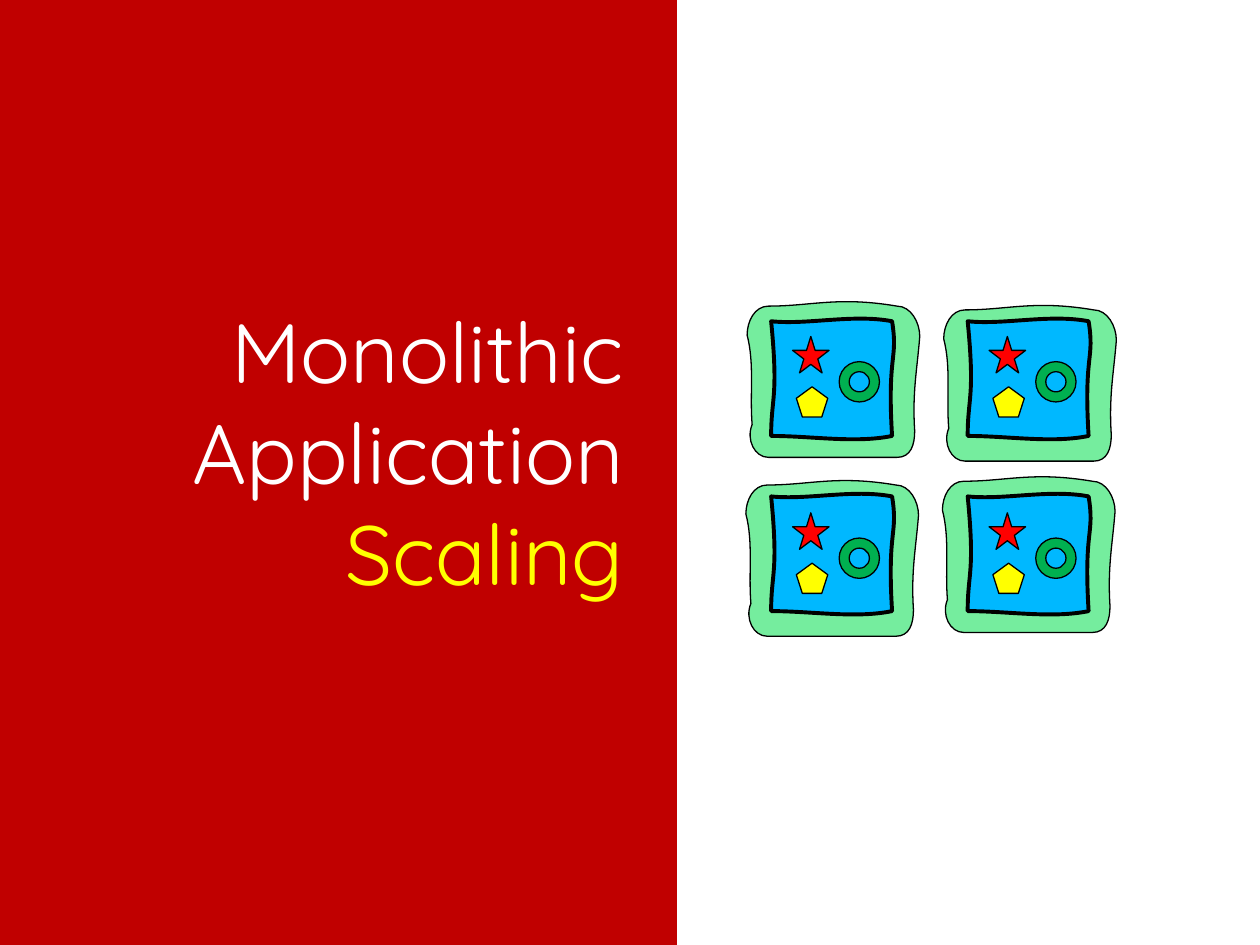
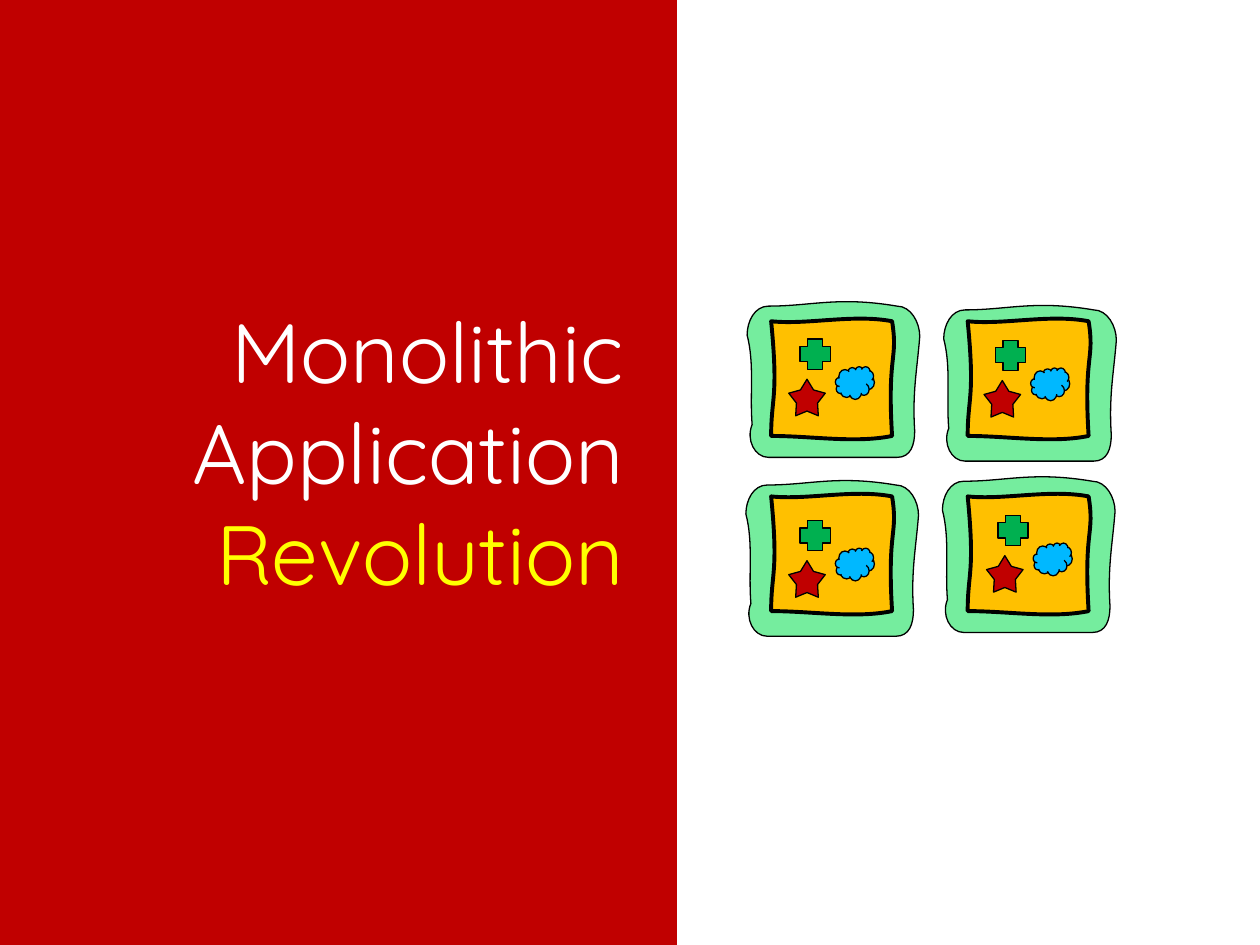
from lxml import etree
from pptx import Presentation
from pptx.dml.color import RGBColor
from pptx.enum.shapes import MSO_SHAPE
from pptx.enum.text import MSO_AUTO_SIZE, PP_ALIGN
from pptx.oxml.ns import qn
from pptx.util import Inches, Pt

RECTANGLE = MSO_SHAPE.RECTANGLE
STAR = MSO_SHAPE.STAR_5_POINT
DONUT = MSO_SHAPE.DONUT
PENTAGON = MSO_SHAPE.REGULAR_PENTAGON
CLOUD = MSO_SHAPE.CLOUD
CROSS = MSO_SHAPE.CROSS
RIGHT = PP_ALIGN.RIGHT
GROW = MSO_AUTO_SIZE.SHAPE_TO_FIT_TEXT

WHITE = RGBColor(0xFF, 0xFF, 0xFF)
BLACK = RGBColor(0x00, 0x00, 0x00)
DARK_RED = RGBColor(0xC0, 0x00, 0x00)
RED = RGBColor(0xFF, 0x00, 0x00)
YELLOW = RGBColor(0xFF, 0xFF, 0x00)
GREEN = RGBColor(0x00, 0xB0, 0x50)
MINT = RGBColor(0x75, 0xED, 0x9E)
SKY = RGBColor(0x00, 0xB8, 0xFF)
AMBER = RGBColor(0xFF, 0xC0, 0x00)

FONT = "Quicksand"
THIN, THICK = 0.75, 2.25

SERVER_SIZE = (1.37, 1.24)
SERVER_OUTLINE = [
    ("moveTo", (0, 0.27)),
    ("cubicBezTo", (0, 0.16), (0.06, 0.04), (0.17, 0.04)),
    ("cubicBezTo", (0.51, 0.04), (0.72, -0.04), (1.19, 0.04)),
    ("cubicBezTo", (1.3, 0.04), (1.37, 0.17), (1.37, 0.28)),
    ("cubicBezTo", (1.35, 0.54), (1.31, 0.72), (1.33, 1.03)),
    ("cubicBezTo", (1.33, 1.14), (1.3, 1.24), (1.19, 1.24)),
    ("lnTo", (0.17, 1.24)),
    ("cubicBezTo", (0.06, 1.24), (-0.01, 1.1), (0.04, 0.98)),
    ("cubicBezTo", (0.02, 0.74), (0.06, 0.5), (0, 0.27)),
    ("close",),
]
APP_SIZE = (0.98, 0.95)
APP_OUTLINE = [
    ("moveTo", (0, 0.02)),
    ("cubicBezTo", (0.29, 0.05), (0.65, -0.04), (0.96, 0.02)),
    ("cubicBezTo", (1.01, 0.33), (0.92, 0.27), (0.96, 0.93)),
    ("cubicBezTo", (0.67, 0.99), (0.32, 0.93), (0, 0.93)),
    ("cubicBezTo", (0, 0.62), (0.06, 0.63), (0, 0.02)),
    ("close",),
]


def grid(left, top, column_pitch, row_pitch):
    """Return the origins of a two by two grid, row by row."""
    return [(left + column_pitch * col, top + row_pitch * row)
            for row in range(2) for col in range(2)]


SERVER_ORIGINS = [(5.93, 2.39), (7.49, 2.42), (5.92, 3.81), (7.48, 3.78)]
APP_ORIGINS = grid(6.12, 2.53, 1.56, 1.39)
SCALED_MODULE_ORIGINS = grid(6.29, 2.67, 1.56, 1.4)
REVISED_MODULE_ORIGINS = [(6.26, 2.69), (7.81, 2.7), (6.26, 4.13), (7.83, 4.09)]

SCALED_MODULES = [
    (STAR, 0, 0, 0.29, 0.29, RED, None),
    (DONUT, 0.37, 0.2, 0.32, 0.32, GREEN, None),
    (PENTAGON, 0.03, 0.4, 0.25, 0.24, YELLOW, None),
]
REVISED_MODULES = [
    (STAR, 0, 0.32, 0.29, 0.29, DARK_RED, 0.289),
    (CLOUD, 0.37, 0.22, 0.31, 0.26, SKY, None),
    (CROSS, 0.09, 0, 0.24, 0.24, GREEN, None),
]


def style(shape, fill, line=BLACK, width=THIN):
    """Give a shape a flat fill and outline without shadow."""
    shape.shadow.inherit = False
    shape.fill.solid()
    shape.fill.fore_color.rgb = fill
    shape.line.color.rgb = line
    shape.line.width = Pt(width)


def add_preset(shapes, preset, x, y, width, height, fill, line=BLACK, adjustment=None):
    """Add a styled preset shape."""
    shape = shapes.add_shape(preset, Inches(x), Inches(y), Inches(width), Inches(height))
    style(shape, fill, line)
    if adjustment is not None:
        shape.adjustments[0] = adjustment


def add_wavy_box(shapes, origin, size, outline, fill, width):
    """Add a closed outline of cubic curves inside a box."""
    left, top = (Inches(value) for value in origin)
    right, bottom = (Inches(start + extent) for start, extent in zip(origin, size))
    builder = shapes.build_freeform(left, top, scale=1.0)
    builder.add_line_segments([(right, top), (right, bottom), (left, bottom)], close=True)
    box = builder.convert_to_shape()
    contour = next(box.element.iter(qn("a:path")))
    for segment in list(contour):
        contour.remove(segment)
    for command, *points in outline:
        segment = etree.SubElement(contour, qn(f"a:{command}"))
        for x, y in points:
            etree.SubElement(segment, qn("a:pt"), x=str(Inches(x)), y=str(Inches(y)))
    style(box, fill, width=width)


def add_text(paragraph, text, *, size=48, color=WHITE, align=RIGHT):
    """Write formatted text into a paragraph."""
    paragraph.text = text
    paragraph.alignment = align
    for run in paragraph.runs:
        run.font.name = FONT
        run.font.size = Pt(size)
        run.font.color.rgb = color


def add_title(slide, topic):
    """Add the red panel with the shared title and a yellow topic."""
    add_preset(slide.shapes, RECTANGLE, -0.21, -0.13, 5.59, 7.73, DARK_RED, line=WHITE)
    title = slide.shapes.add_textbox(Inches(1.14), Inches(2.33), Inches(3.91), Inches(2.52))
    frame = title.text_frame
    frame.word_wrap = False
    frame.auto_size = GROW
    add_text(frame.paragraphs[0], "Monolithic\vApplication")
    add_text(frame.add_paragraph(), topic, color=YELLOW)


def add_server(slide, server_origin, app_origin, module_origin, app_fill, modules):
    """Add one server holding an application and its modules."""
    shapes = slide.shapes.add_group_shape().shapes
    add_wavy_box(shapes, server_origin, SERVER_SIZE, SERVER_OUTLINE, MINT, THIN)
    add_wavy_box(shapes, app_origin, APP_SIZE, APP_OUTLINE, app_fill, THICK)
    left, top = module_origin
    for preset, x, y, width, height, fill, adjustment in modules:
        add_preset(shapes, preset, left + x, top + y, width, height, fill,
                   adjustment=adjustment)


def add_slide(deck, topic, app_fill, modules, module_origins):
    """Add a slide with the title panel and four servers."""
    slide = deck.slides.add_slide(deck.slide_layouts[6])
    add_title(slide, topic)
    for origins in zip(SERVER_ORIGINS, APP_ORIGINS, module_origins):
        add_server(slide, *origins, app_fill, modules)


def main():
    """Build and save the deck."""
    deck = Presentation()
    deck.slide_width, deck.slide_height = Inches(10), Inches(7.5)
    add_slide(deck, "Scaling", SKY, SCALED_MODULES, SCALED_MODULE_ORIGINS)
    add_slide(deck, "Revolution", AMBER, REVISED_MODULES, REVISED_MODULE_ORIGINS)
    deck.save("out.pptx")


main()
